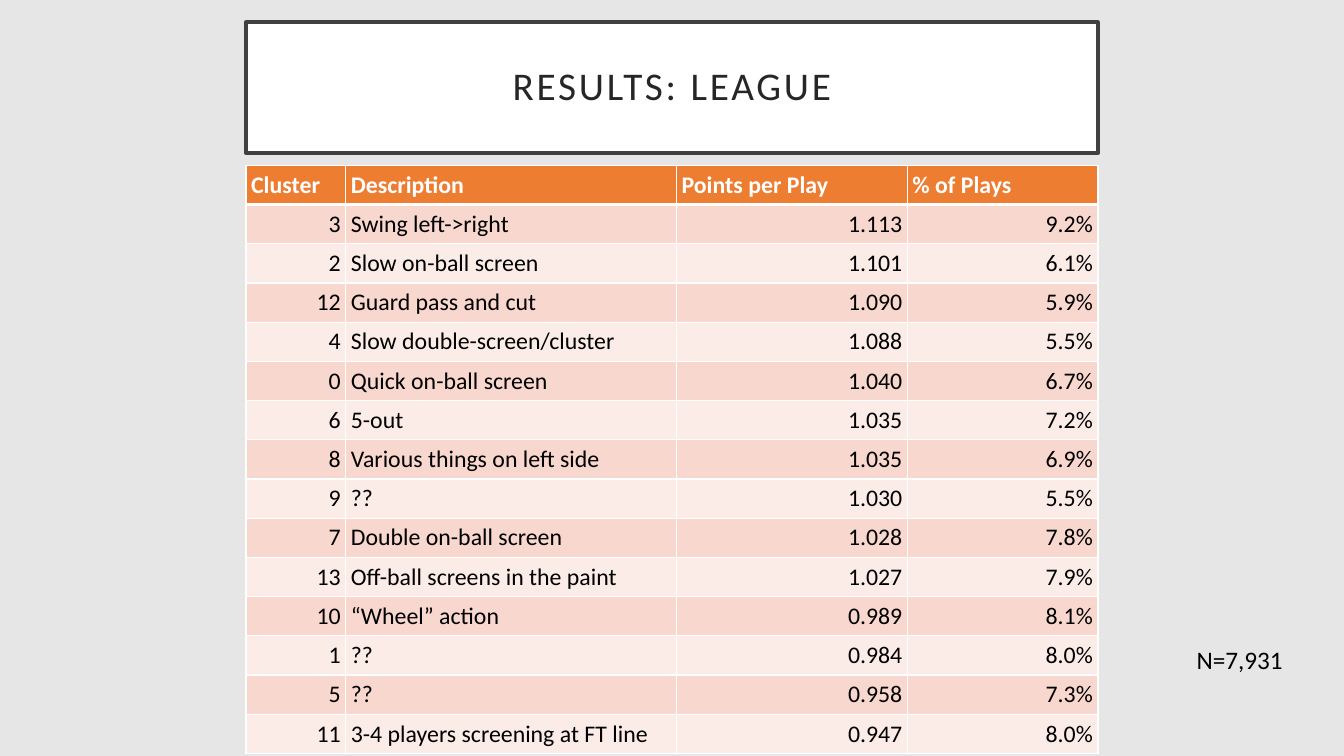
"""Build a slide with a table of league results by play cluster."""
import pptx
import pptx.dml.color
import pptx.enum.shapes
import pptx.enum.text
import pptx.oxml
import pptx.oxml.ns
import pptx.util

Inches = pptx.util.Inches
Pt = pptx.util.Pt
ALIGN = pptx.enum.text.PP_ALIGN
ANCHOR = pptx.enum.text.MSO_ANCHOR

COLORS = {
    "background": "E7E6E6",
    "white": "FFFFFF",
    "frame": "404040",
    "title": "262626",
    "header": "ED7D31",
    "odd_row": "F8D7CE",
    "even_row": "FCECE8",
    "text": "000000",
}

HEADERS = ("Cluster", "Description", "Points per Play", "% of Plays")
COLUMN_WIDTHS = (0.99, 3.28, 2.29, 1.89)
COLUMN_ALIGNMENTS = (ALIGN.RIGHT, ALIGN.LEFT, ALIGN.RIGHT, ALIGN.RIGHT)
CLUSTERS = (
    ("3", "Swing left->right", "1.113", "9.2%"),
    ("2", "Slow on-ball screen", "1.101", "6.1%"),
    ("12", "Guard pass and cut", "1.090", "5.9%"),
    ("4", "Slow double-screen/cluster", "1.088", "5.5%"),
    ("0", "Quick on-ball screen", "1.040", "6.7%"),
    ("6", "5-out", "1.035", "7.2%"),
    ("8", "Various things on left side", "1.035", "6.9%"),
    ("9", "??", "1.030", "5.5%"),
    ("7", "Double on-ball screen", "1.028", "7.8%"),
    ("13", "Off-ball screens in the paint", "1.027", "7.9%"),
    ("10", "“Wheel” action", "0.989", "8.1%"),
    ("1", "??", "0.984", "8.0%"),
    ("5", "??", "0.958", "7.3%"),
    ("11", "3-4 players screening at FT line", "0.947", "8.0%"),
)


class SlideBuilder:
    """Hold the style and the current slide."""

    font_name = "Calibri"

    def __init__(self, presentation):
        self.slide = presentation.slides.add_slide(presentation.slide_layouts[6])
        self.fill(self.slide.background.fill, "background")

    def fill(self, fill, color):
        fill.solid()
        fill.fore_color.rgb = self.rgb(color)

    def rgb(self, color):
        return pptx.dml.color.RGBColor.from_string(COLORS[color])

    def set_text(self, text_frame, text, size, color, align=ALIGN.LEFT, bold=False):
        text_frame.text = text
        paragraph = text_frame.paragraphs[0]
        paragraph.alignment = align
        font = paragraph.runs[0].font
        font.name = self.font_name
        font.size = Pt(size)
        font.bold = bold
        font.color.rgb = self.rgb(color)
        return paragraph

    def title(self, text, left, top, width, height):
        shape = self.slide.shapes.add_shape(
            pptx.enum.shapes.MSO_SHAPE.RECTANGLE,
            Inches(left), Inches(top), Inches(width), Inches(height))
        shape.shadow.inherit = False
        self.fill(shape.fill, "white")
        shape.line.color.rgb = self.rgb("frame")
        shape.line.width = Pt(2.5)
        shape.text_frame.word_wrap = True
        shape.text_frame.vertical_anchor = ANCHOR.MIDDLE
        paragraph = self.set_text(shape.text_frame, text, 28, "title", ALIGN.CENTER)
        paragraph.line_spacing = 0.9
        paragraph.runs[0].font._element.set("spc", "200")

    def note(self, text, left, top, width, height):
        box = self.slide.shapes.add_textbox(
            Inches(left), Inches(top), Inches(width), Inches(height))
        box.text_frame.word_wrap = True
        self.set_text(box.text_frame, text, 18, "text")

    def borders(self, cell, top, bottom):
        properties = cell._tc.get_or_add_tcPr()
        for side, width in (("L", 1), ("R", 1), ("T", top), ("B", bottom)):
            properties.append(pptx.oxml.parse_xml(
                f'<a:ln{side} {pptx.oxml.ns.nsdecls("a")} w="{Pt(width)}">'
                f'<a:solidFill><a:srgbClr val="{COLORS["white"]}"/></a:solidFill>'
                f'</a:ln{side}>'))

    def cell(self, cell, text, row, align):
        is_header = row == 0
        cell.margin_left = cell.margin_right = Inches(0.05)
        cell.margin_top = cell.margin_bottom = Inches(0.05)
        cell.vertical_anchor = ANCHOR.BOTTOM
        self.borders(cell, 3 if row == 1 else 1, 3 if is_header else 1)
        band = "odd_row" if row % 2 else "even_row"
        self.fill(cell.fill, "header" if is_header else band)
        self.set_text(cell.text_frame, text, 17, "white" if is_header else "text",
                      ALIGN.LEFT if is_header else align, is_header)

    def table(self, rows, left, top, row_height):
        table = self.slide.shapes.add_table(
            len(rows), len(COLUMN_WIDTHS), Inches(left), Inches(top),
            Inches(sum(COLUMN_WIDTHS)), Inches(row_height * len(rows))).table
        table.horz_banding = False
        for column, width in zip(table.columns, COLUMN_WIDTHS):
            column.width = Inches(width)
        for row_index, row in enumerate(rows):
            table.rows[row_index].height = Inches(row_height)
            for column_index, text in enumerate(row):
                self.cell(table.cell(row_index, column_index), text, row_index,
                          COLUMN_ALIGNMENTS[column_index])


def main():
    presentation = pptx.Presentation()
    presentation.slide_width = Inches(13.33)
    presentation.slide_height = Inches(7.5)
    builder = SlideBuilder(presentation)
    builder.title("RESULTS: LEAGUE", 2.44, 0.22, 8.45, 1.3)
    builder.table((HEADERS,) + CLUSTERS, 2.44, 1.64, 0.38)
    builder.note("N=7,931", 11.77, 6.34, 1.36, 0.4)
    presentation.save("out.pptx")


if __name__ == "__main__":
    main()
